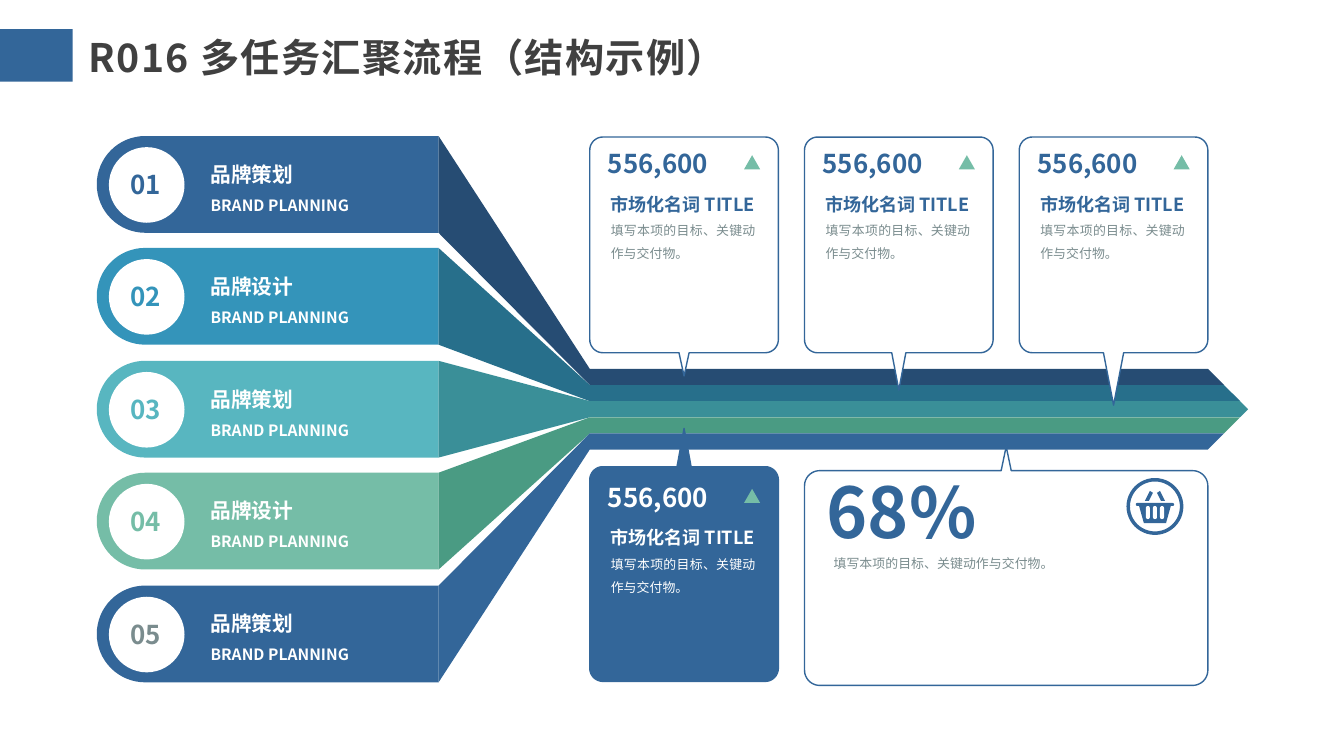
import math

import pptx
import pptx.dml.color
import pptx.enum.shapes
import pptx.enum.text
import pptx.oxml.ns
import pptx.util
from lxml import etree

PX = 9144
FONT = "Noto Sans CJK SC"
COLORS = {
    "navy": "336699", "blue": "3494BA", "aqua": "58B6C0", "mint": "75BDA7",
    "deep_navy": "264C73", "deep_blue": "276F8B", "deep_aqua": "3A8F98",
    "deep_mint": "4A9B83", "gray": "7A8C8E", "dark": "404040", "white": "FFFFFF",
}
PRESET = pptx.enum.shapes.MSO_SHAPE
ALIGN = pptx.enum.text.PP_ALIGN
ANCHOR = pptx.enum.text.MSO_ANCHOR

TASKS = [
    ("01", "品牌策划", "navy", "navy", "deep_navy"),
    ("02", "品牌设计", "blue", "blue", "deep_blue"),
    ("03", "品牌策划", "aqua", "aqua", "deep_aqua"),
    ("04", "品牌设计", "mint", "mint", "deep_mint"),
    ("05", "品牌策划", "navy", "gray", "navy"),
]
NOTE = "填写本项的目标、关键动作与交付物。"


def px(value):
    """Turn px into EMU."""
    return pptx.util.Emu(round(value * PX))


def rgb(name):
    """Look up a palette colour."""
    return pptx.dml.color.RGBColor.from_string(COLORS[name])


def paint(shape, fill=None, line=None, weight=1):
    """Set fill and outline and drop the shadow."""
    shape.shadow.inherit = False
    if fill:
        shape.fill.solid()
        shape.fill.fore_color.rgb = rgb(fill)
    else:
        shape.fill.background()
    if line:
        shape.line.color.rgb = rgb(line)
        shape.line.width = pptx.util.Pt(weight)
    else:
        shape.line.fill.background()


def add_preset(slide, kind, left, top, width, height, **style):
    """Add a painted preset shape."""
    shape = slide.shapes.add_shape(kind, px(left), px(top), px(width), px(height))
    paint(shape, **style)
    return shape


def add_outline(slide, points, **style):
    """Add a painted closed polygon."""
    first, *rest = [(px(x), px(y)) for x, y in points]
    builder = slide.shapes.build_freeform(*first, scale=1.0)
    builder.add_line_segments(rest, close=True)
    paint(builder.convert_to_shape(), **style)


def arc(center_x, center_y, radius, start, end, steps=12):
    """List the points of a clockwise arc given in degrees."""
    angles = [math.radians(start + (end - start) * i / steps) for i in range(steps + 1)]
    return [(center_x + radius * math.cos(a), center_y + radius * math.sin(a)) for a in angles]


def add_text(slide, left, top, width, height, lines, align=ALIGN.JUSTIFY,
             spacing=None, inset=10, wrap=True, anchor=ANCHOR.TOP, tracking=None):
    """Add a text box; each line is (text, size, colour, bold)."""
    frame = slide.shapes.add_textbox(px(left), px(top), px(width), px(height)).text_frame
    frame.word_wrap = wrap
    frame.vertical_anchor = anchor
    frame.margin_left = frame.margin_right = px(inset)
    for index, (text, size, color, bold) in enumerate(lines):
        paragraph = frame.add_paragraph() if index else frame.paragraphs[0]
        paragraph.alignment = align
        paragraph.line_spacing = spacing
        run = paragraph.add_run()
        run.text = text
        run.font.size = pptx.util.Pt(size)
        run.font.bold = bold
        run.font.color.rgb = rgb(color)
        run.font.name = FONT
        properties = run.font._element
        etree.SubElement(properties, pptx.oxml.ns.qn("a:ea"), typeface=FONT)
        if tracking:
            properties.set("spc", str(tracking))


def add_header(slide, left, top, height):
    """Draw the title and its side block."""
    add_preset(slide, PRESET.RECTANGLE, left, top, 72, height, fill="navy")
    add_text(slide, left + 78, top - 1, 1028, height + 5,
             [("R016 多任务汇聚流程（结构示例）", 28, "dark", True)],
             align=ALIGN.LEFT, anchor=ANCHOR.MIDDLE, tracking=100)


def add_task(slide, left, top, width, height, task):
    """Draw one task tab with its number and label."""
    number, name, fill, number_color, _ = task
    radius = height / 2
    right = left + width
    add_outline(slide, [(right, top), (right, top + height)]
                + arc(left + radius, top + radius, radius, 90, 270, 32), fill=fill)
    add_preset(slide, PRESET.OVAL, left + 12, top + 11, 75, 75, fill="white")
    add_text(slide, left + 23, top + 28, 51, 40, [(number, 18.5, number_color, True)],
             align=ALIGN.CENTER, inset=0, wrap=False, anchor=ANCHOR.MIDDLE)
    add_text(slide, left + 103, top + 8, 205, 71,
             [(name, 14.8, "white", True), ("BRAND PLANNING", 11.1, "white", True)],
             spacing=1.5)


def add_flow(slide, left, top, width, height):
    """Draw the task tabs, the funnel and the banded arrow."""
    tab_width, tab_height, band, arrow_left = 339, 96, 16, left + 489
    arrow_top = top + (height - band * len(TASKS)) // 2
    middle = arrow_top + band * len(TASKS) / 2
    tip = left + width
    for index, task in enumerate(TASKS):
        tab_top = top + index * (height - tab_height) // (len(TASKS) - 1)
        upper = arrow_top + index * band
        lower = upper + band
        tab_right = left + tab_width
        add_task(slide, left, tab_top, tab_width, tab_height, task)
        add_outline(slide, [(tab_right, tab_top), (arrow_left, upper),
                            (arrow_left, lower), (tab_right, tab_top + tab_height)],
                    fill=task[4])
        nose = [(tip, middle)] if upper < middle < lower else []
        add_outline(slide, [(arrow_left, upper), (tip - abs(upper - middle), upper), *nose,
                            (tip - abs(lower - middle), lower), (arrow_left, lower)],
                    fill=task[4])


def add_callout(slide, left, top, width, height, tip_y, half, radius=13, fill="white"):
    """Draw a rounded callout whose tail points up or down to tip_y."""
    middle, right, bottom = left + width / 2, left + width, top + height
    upper, lower = [], []
    if tip_y < top:
        upper = [(middle - half, top), (middle, tip_y), (middle + half, top)]
    else:
        lower = [(middle + half, bottom), (middle, tip_y), (middle - half, bottom)]
    points = (arc(left + radius, top + radius, radius, 180, 270) + upper
              + arc(right - radius, top + radius, radius, 270, 360)
              + arc(right - radius, bottom - radius, radius, 0, 90) + lower
              + arc(left + radius, bottom - radius, radius, 90, 180))
    add_outline(slide, points, fill=fill, line="navy")


def add_metric(slide, left, top, accent, note_color):
    """Write a metric, its rise mark and its description."""
    add_text(slide, left + 11, top + 40, 163, 156,
             [("市场化名词 TITLE", 12.9, accent, True), (NOTE, 9.2, note_color, False)],
             spacing=1.5)
    add_text(slide, left + 18, top + 6, 150, 40, [("556,600", 18.5, accent, True)], inset=0)
    add_preset(slide, PRESET.ISOSCELES_TRIANGLE, left + 153, top + 18, 16, 14, fill="mint")


def add_basket(slide, left, top, size):
    """Draw a ringed shopping basket."""
    middle = left + size / 2
    add_preset(slide, PRESET.OVAL, left, top, size, size, line="navy", weight=2.5)
    rim = add_preset(slide, PRESET.ROUNDED_RECTANGLE, middle - 19, top + 23, 38, 3, fill="navy")
    rim.adjustments[0] = 0.5
    add_outline(slide, [(middle - 16, top + 25), (middle + 16, top + 25),
                        (middle + 11, top + 43), (middle - 11, top + 43)], fill="navy")
    for offset in (-7, 0, 7):
        slot = add_preset(slide, PRESET.ROUNDED_RECTANGLE, middle + offset - 2, top + 26,
                          4, 13, fill="white")
        slot.adjustments[0] = 0.5
    for side in (-1, 1):
        add_outline(slide, [(middle + side * x, top + y)
                            for x, y in ((10, 21), (6, 21), (2, 13), (5, 11))], fill="navy")


def add_share(slide, left, top, width, height):
    """Draw the wide percentage panel."""
    add_callout(slide, left, top, width, height, top - 24, 5, radius=15)
    add_text(slide, left + 12, top - 7, 174, 93, [("68%", 49.9, "navy", True)],
             align=ALIGN.LEFT)
    add_text(slide, left + 19, top + 72, 364, 147, [(NOTE, 9.2, "gray", False)], spacing=1.5)
    add_basket(slide, left + width - 79, top + 9, 53)


def main():
    """Build and save the slide."""
    presentation = pptx.Presentation()
    presentation.slide_width, presentation.slide_height = px(1333), px(750)
    slide = presentation.slides.add_slide(presentation.slide_layouts[6])
    add_header(slide, 0, 29, 52)
    add_flow(slide, 96, 135, 1142, 542)
    for index, (tip_y, half) in enumerate([(373, 5), (387, 7), (402, 10)]):
        left = 585 + 213 * index
        add_callout(slide, left, 136, 187, 214, tip_y, half)
        add_metric(slide, left, 136, "navy", "gray")
    add_callout(slide, 585, 463, 187, 213, 425, 7, fill="navy")
    add_metric(slide, 585, 467, "white", "white")
    add_share(slide, 798, 467, 400, 213)
    presentation.save("out.pptx")


if __name__ == "__main__":
    main()
